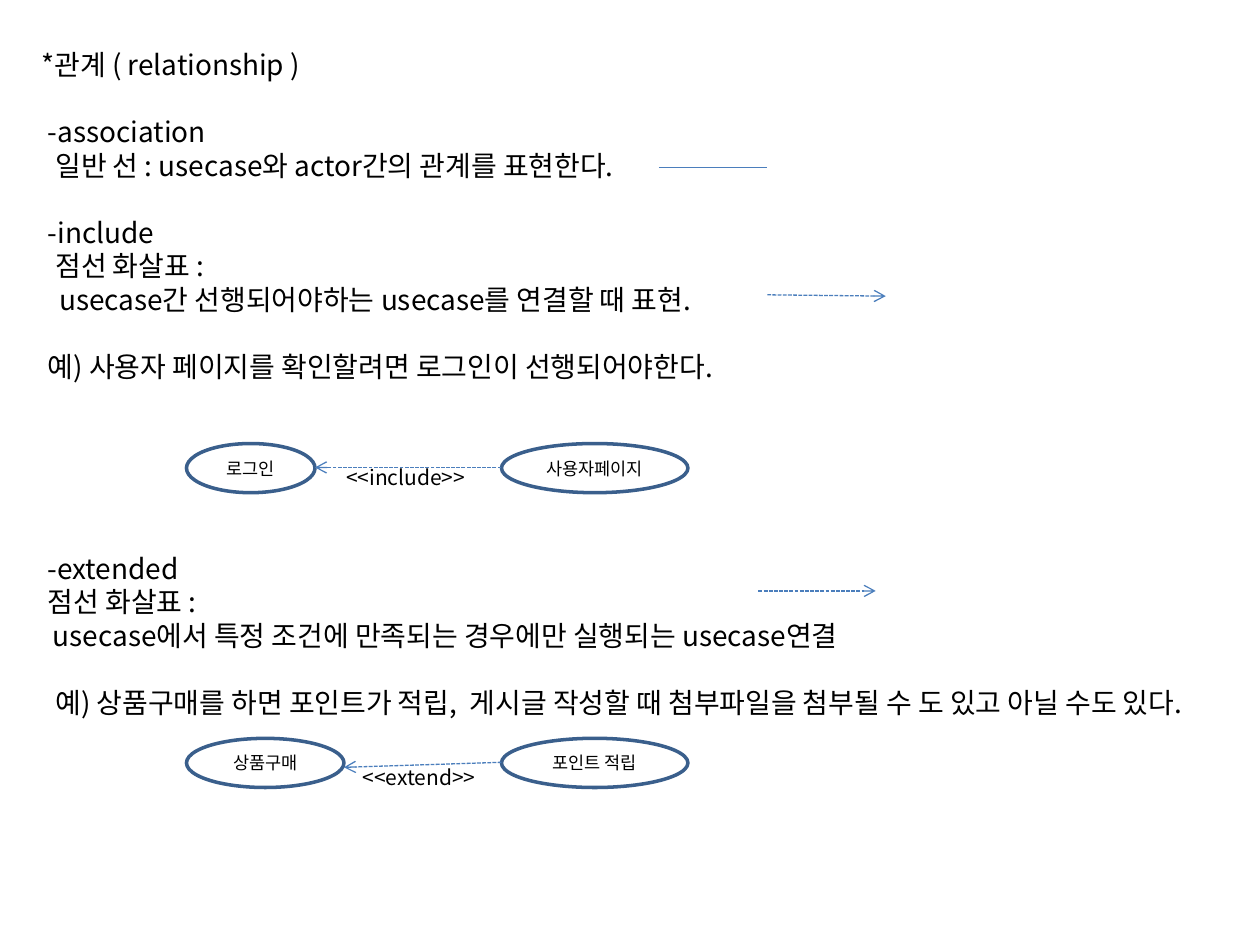
"""Builds a slide on use case relationships: association, include and extend."""
from lxml import etree
from pptx import Presentation
from pptx.dml.color import RGBColor
from pptx.enum.dml import MSO_LINE
from pptx.enum.shapes import MSO_CONNECTOR, MSO_SHAPE
from pptx.enum.text import MSO_ANCHOR, MSO_AUTO_SIZE, PP_ALIGN
from pptx.oxml.ns import qn
from pptx.util import Inches, Pt

FONT = "Noto Sans CJK KR"
BLACK, LINE, OUTLINE = "000000", "4B7EBC", "3A5F8C"
PITCH = 19.2
LEFT, CENTER = PP_ALIGN.LEFT, PP_ALIGN.CENTER
TOP, MIDDLE = MSO_ANCHOR.TOP, MSO_ANCHOR.MIDDLE
STRAIGHT, OVAL, DASH = MSO_CONNECTOR.STRAIGHT, MSO_SHAPE.OVAL, MSO_LINE.SQUARE_DOT
NO_FIT = MSO_AUTO_SIZE.NONE

BODY = [
    ("-association", 0, 0.05),
    ("일반 선 : usecase와 actor간의 관계를 표현한다.", 0, 0.11),
    ("-include", 1, 0.05),
    ("점선 화살표 :", 0, 0.11),
    ("usecase간 선행되어야하는 usecase를 연결할 때 표현.", 0, 0.14),
    ("예) 사용자 페이지를 확인할려면 로그인이 선행되어야한다.", 1, 0.05),
    ("-extended", 5, 0.05),
    ("점선 화살표 :", 0, 0.05),
    ("usecase에서 특정 조건에 만족되는 경우에만 실행되는 usecase연결", 0, 0.09),
    ("예) 상품구매를 하면 포인트가 적립,  게시글 작성할 때 첨부파일을 첨부될 수 도 있고 아닐 수도 있다.", 1, 0.11),
]


def rgb(value):
    return RGBColor.from_string(value)


class SlideBuilder:
    """Holds the style and the current slide."""

    def __init__(self, prs):
        self.slide = prs.slides.add_slide(prs.slide_layouts[1])

    def place(self, sp, x, y, w, h):
        box = {"left": x, "top": y, "width": w, "height": h}
        for name, value in box.items():
            setattr(sp, name, Inches(value))

    def frame(self, tf, anchor, wrap=True):
        values = {"word_wrap": wrap, "auto_size": NO_FIT, "vertical_anchor": anchor}
        for side in ("left", "right", "top", "bottom"):
            values["margin_" + side] = 0
        for name, value in values.items():
            setattr(tf, name, value)

    def add_text(self, p, text, size, align=LEFT):
        p.alignment = align
        r = p.add_run()
        r.text = text
        for name, value in {"name": FONT, "size": Pt(size), "bold": False}.items():
            setattr(r.font, name, value)
        r.font.color.rgb = rgb(BLACK)
        etree.SubElement(r._r.get_or_add_rPr(), qn("a:ea"), typeface=FONT)

    def title(self, text, x, y, w, h):
        sp = self.slide.shapes.title
        self.place(sp, x, y, w, h)
        self.frame(sp.text_frame, TOP)
        p = sp.text_frame.paragraphs[0]
        p.line_spacing = Pt(PITCH)
        self.add_text(p, text, 16)

    def body(self, items, x, y, w, h):
        sp = self.slide.placeholders[1]
        self.place(sp, x, y, w, h)
        tf = sp.text_frame
        self.frame(tf, TOP)
        for i, (text, blanks, indent) in enumerate(items):
            p = tf.add_paragraph() if i else tf.paragraphs[0]
            spacing = {"line_spacing": PITCH, "space_before": blanks * PITCH, "space_after": 0}
            for name, value in spacing.items():
                setattr(p, name, Pt(value))
            pPr = p._p.get_or_add_pPr()
            pPr.set("marL", str(Inches(indent)))
            pPr.set("indent", "0")
            etree.SubElement(pPr, qn("a:buNone"))
            self.add_text(p, text, 16)

    def label(self, text, x, y, w, h):
        sp = self.slide.shapes.add_textbox(Inches(x), Inches(y), Inches(w), Inches(h))
        self.frame(sp.text_frame, MIDDLE, False)
        self.add_text(sp.text_frame.paragraphs[0], text, 12, CENTER)

    def use_case(self, text, x, y, w, h=0.39):
        sp = self.slide.shapes.add_shape(OVAL, Inches(x), Inches(y), Inches(w), Inches(h))
        sp.shadow.inherit = False
        sp.fill.background()
        sp.line.color.rgb = rgb(OUTLINE)
        sp.line.width = Pt(2)
        self.frame(sp.text_frame, MIDDLE)
        self.add_text(sp.text_frame.paragraphs[0], text, 10, CENTER)

    def line(self, x1, y1, x2, y2, arrow=True):
        sp = self.slide.shapes.add_connector(STRAIGHT, *map(Inches, (x1, y1, x2, y2)))
        sp.line.color.rgb = rgb(LINE)
        sp.line.width = Pt(0.75)
        spPr = sp._element.spPr
        if arrow:
            sp.line.dash_style = DASH
            etree.SubElement(spPr.get_or_add_ln(), qn("a:tailEnd"), type="arrow")
        etree.SubElement(spPr, qn("a:effectLst"))


def main():
    prs = Presentation()
    prs.slide_width, prs.slide_height = Inches(10), Inches(7.5)
    s = SlideBuilder(prs)
    s.title("*관계 ( relationship )", 0.33, 0.38, 9, 0.27)
    s.body(BODY, 0.33, 0.91, 10.29, 5)

    s.line(5.23, 1.33, 6.09, 1.33, arrow=False)
    s.line(6.09, 2.34, 7.03, 2.35)
    s.line(6.02, 4.69, 6.95, 4.69)

    examples = [
        (3.52, "로그인", 1.02, "사용자페이지", 3.71, "<<include>>", 2.61, 3.64, 1.22),
        (5.86, "상품구매", 1.25, "포인트 적립", 6.09, "<<extend>>", 2.73, 6.02, 1.19),
    ]
    for y, target, w, source, tip, text, label_x, label_y, label_w in examples:
        s.use_case(target, 1.48, y, w)
        s.use_case(source, 3.98, y, 1.48)
        s.line(3.98, y + 0.19, 1.48 + w, tip)
        s.label(text, label_x, label_y, label_w, 0.3)
    prs.save("out.pptx")


if __name__ == "__main__":
    main()
